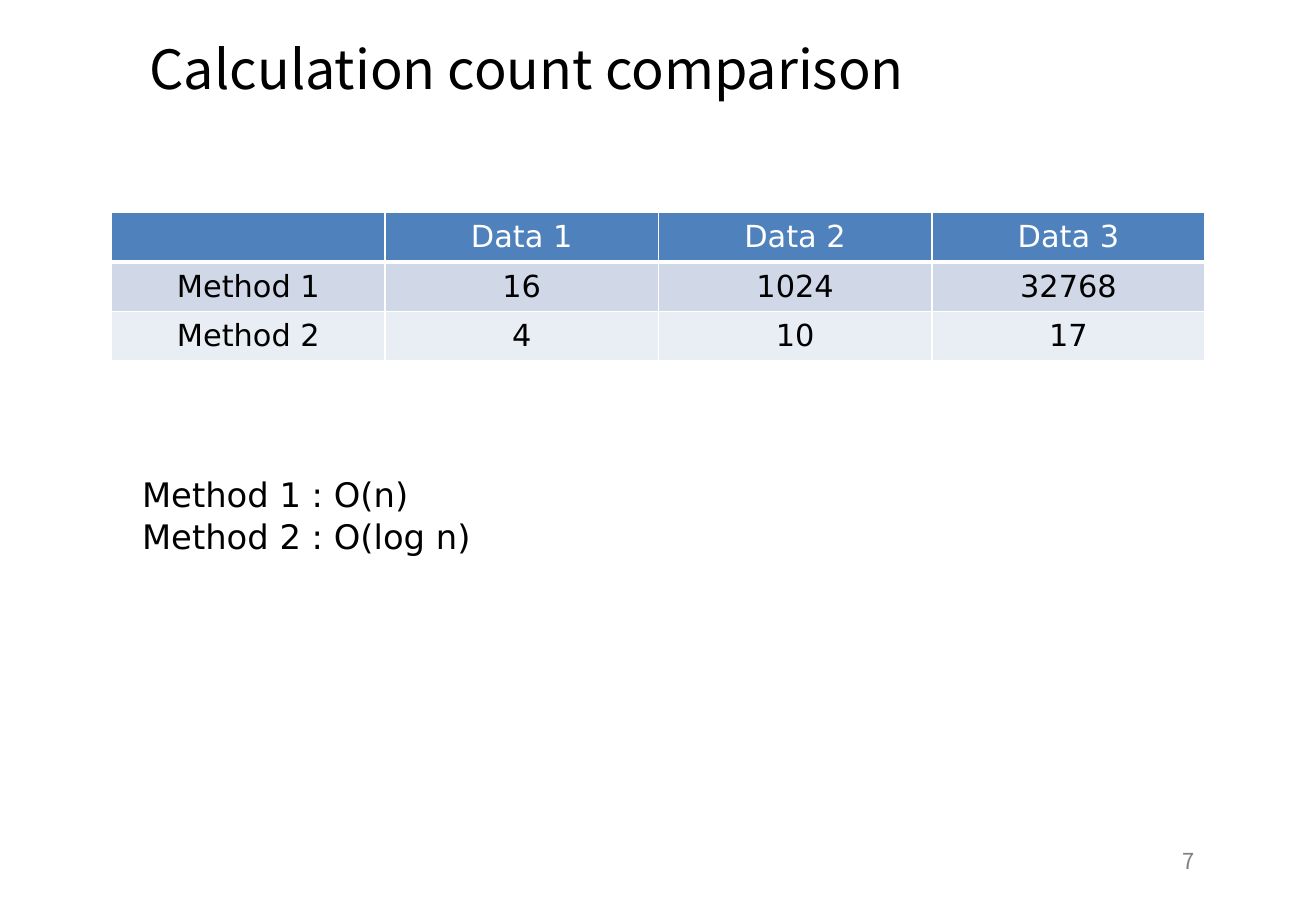
from lxml.etree import SubElement
from pptx import Presentation
from pptx.dml.color import RGBColor
from pptx.enum.text import MSO_ANCHOR as Anchor, MSO_AUTO_SIZE as AutoSize, PP_ALIGN as Align
from pptx.oxml.ns import qn
from pptx.util import Inches, Pt

WIDTH, HEIGHT = Inches(10.83), Inches(7.5)
TITLE_FONT, BODY_FONT = "Noto Sans CJK KR", "DejaVu Sans"
COLORS = {
    "text": "000000",
    "page_number": "808080",
    "header": "4F81BD",
    "header_text": "FFFFFF",
    "border": "FFFFFF",
    "odd_row": "D0D8E8",
    "even_row": "E9EDF4",
}
COUNTS = [
    ["", "Data 1", "Data 2", "Data 3"],
    ["Method 1", "16", "1024", "32768"],
    ["Method 2", "4", "10", "17"],
]


def area(left, top, width, height):
    """Turn percentages of the slide into a position and a size."""
    return (int(WIDTH * left / 100), int(HEIGHT * top / 100),
            int(WIDTH * width / 100), int(HEIGHT * height / 100))


def format_paragraph(paragraph, size, font, color, align=Align.LEFT, spacing=None):
    paragraph.alignment = align
    paragraph.line_spacing = spacing
    paragraph.font.size = Pt(size)
    paragraph.font.name = font
    paragraph.font.color.rgb = RGBColor.from_string(COLORS[color])


def fill_text(shape, text, *style, **options):
    """Write text, one paragraph a line, all in the same style."""
    frame = shape.text_frame
    frame.text = text
    frame.word_wrap = True
    frame.auto_size = AutoSize.NONE
    frame.vertical_anchor = Anchor.TOP
    frame.margin_left = frame.margin_right = Inches(0.08)
    frame.margin_top = frame.margin_bottom = Inches(0.05)
    for paragraph in frame.paragraphs:
        format_paragraph(paragraph, *style, **options)


def add_title(slide, text):
    title = slide.shapes.title
    title.left, title.top, title.width, title.height = area(10.62, 4, 90.03, 11.6)
    fill_text(title, text, 32, TITLE_FONT, "text", spacing=0.9)


def add_text(slide, place, text, *style, **options):
    fill_text(slide.shapes.add_textbox(*place), text, *style, **options)


def set_borders(cell, bottom_width):
    # Border elements come before the fill in the cell properties
    properties = cell._tc.get_or_add_tcPr()
    for side, width in (("L", 1), ("R", 1), ("T", 1), ("B", bottom_width)):
        line = SubElement(properties, qn(f"a:ln{side}"), w=str(Pt(width)))
        fill = SubElement(line, qn("a:solidFill"))
        SubElement(fill, qn("a:srgbClr"), val=COLORS["border"])


def add_table(slide, place, rows):
    table = slide.shapes.add_table(len(rows), len(rows[0]), *place).table
    fills = ("header", "odd_row", "even_row")
    for row, (values, fill) in enumerate(zip(rows, fills)):
        is_header = row == 0
        for column, value in enumerate(values):
            cell = table.cell(row, column)
            cell.text = value
            cell.vertical_anchor = Anchor.MIDDLE
            set_borders(cell, 3 if is_header else 1)
            cell.fill.solid()
            cell.fill.fore_color.rgb = RGBColor.from_string(COLORS[fill])
            paragraph = cell.text_frame.paragraphs[0]
            format_paragraph(paragraph, 18, BODY_FONT,
                             "header_text" if is_header else "text", Align.CENTER)
            paragraph.font.bold = False


def main():
    presentation = Presentation()
    presentation.slide_width, presentation.slide_height = WIDTH, HEIGHT
    title_only = presentation.slide_layouts[5]
    slide = presentation.slides.add_slide(title_only)

    # Title and comparison table
    add_title(slide, "Calculation count comparison")
    add_table(slide, area(8.49, 23.33, 83.1, 16.27), COUNTS)

    # Page number
    add_text(slide, area(69.99, 92.67, 21.51, 5.33), "7",
             13, TITLE_FONT, "page_number", align=Align.RIGHT, spacing=0.9)

    # Complexity of each method
    add_text(slide, area(10.06, 51.2, 31.95, 10.27),
             "Method 1 : O(n)\nMethod 2 : O(log n)",
             20, BODY_FONT, "text", spacing=1.04)

    presentation.save("out.pptx")


if __name__ == "__main__":
    main()
